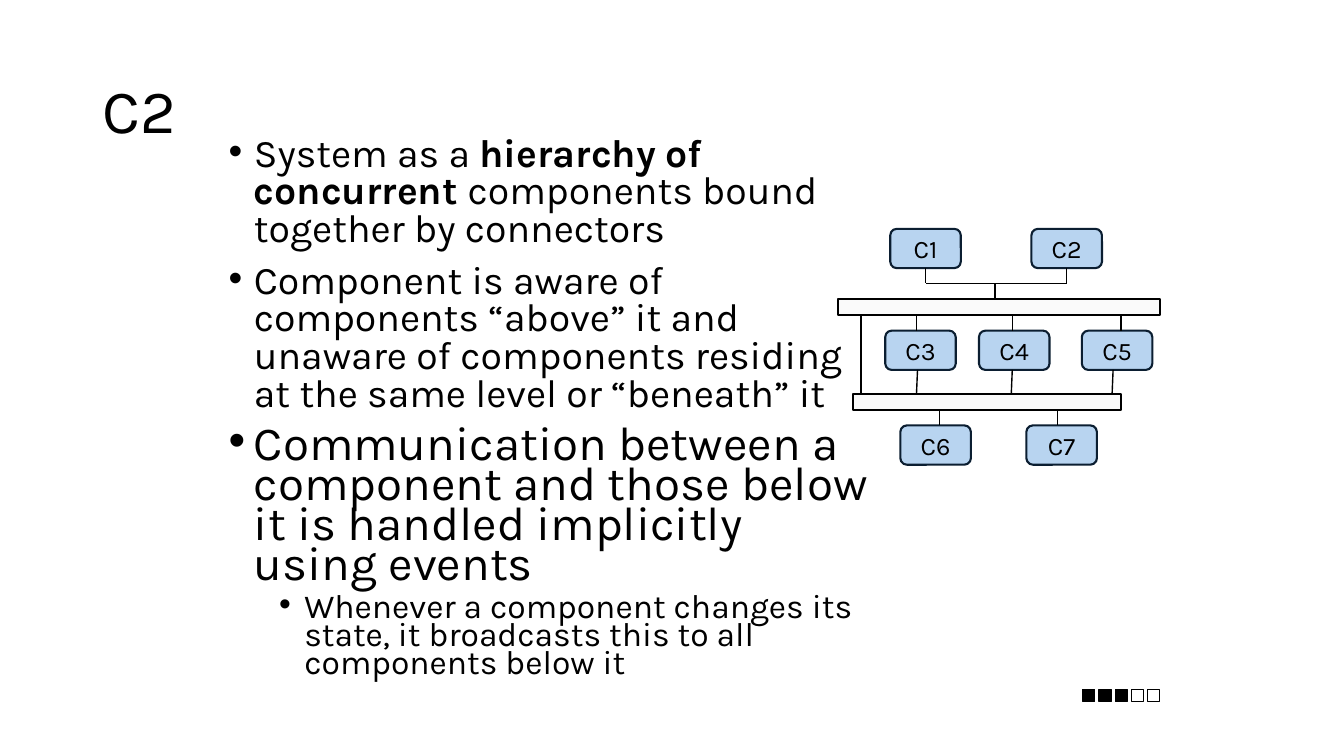
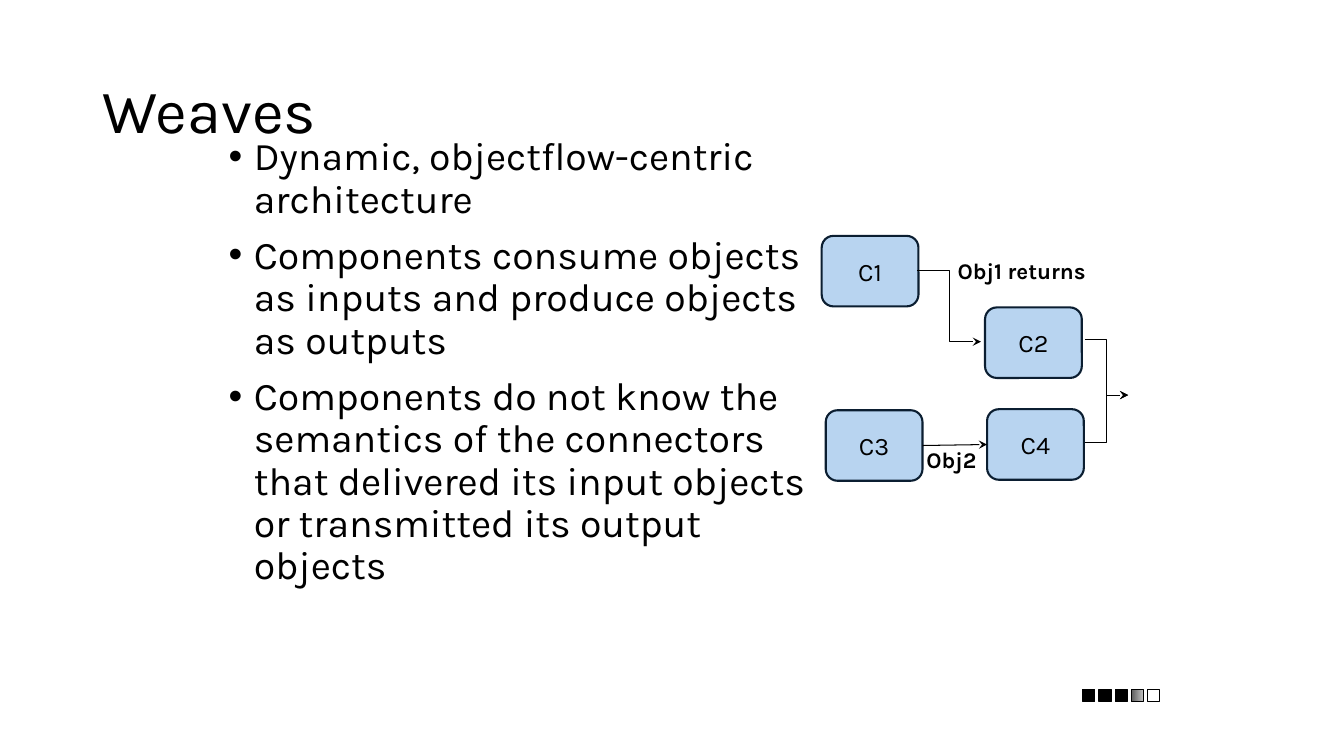
from dataclasses import dataclass
from lxml.etree import SubElement
from pptx import Presentation
from pptx.dml.color import RGBColor
from pptx.enum.shapes import MSO_CONNECTOR, MSO_SHAPE
from pptx.enum.text import MSO_ANCHOR, PP_ALIGN
from pptx.oxml.ns import qn
from pptx.util import Pt

PX = 9144  # EMU in one px, 100 px to the inch


@dataclass(frozen=True)
class Theme:
    font: str = "Karla"
    ink: RGBColor = RGBColor(0, 0, 0)
    box: RGBColor = RGBColor(0xB8, 0xD4, 0xF0)
    box_line: RGBColor = RGBColor(0x0B, 0x1E, 0x31)
    bar: RGBColor = RGBColor(0xFA, 0xFA, 0xFA)
    half: tuple = (RGBColor(0x59, 0x59, 0x59), RGBColor(0xC0, 0xC0, 0xC0))
    title: int = 44
    body: int = 28
    large: int = 34
    sub: int = 24
    node: int = 18
    label: int = 16


T = Theme()


def add_text(tf, runs, size=T.body, bold=False, align=None, anchor=MSO_ANCHOR.TOP,
             spacing=None, before=0, bullet=False, level=0):
    """Write one paragraph; runs is a string or a list of (text, bold)."""
    tf.word_wrap = True
    tf.vertical_anchor = anchor
    p = tf.add_paragraph() if tf.paragraphs[0].runs else tf.paragraphs[0]
    p.level = level
    p.line_spacing = spacing
    p.space_before = Pt(before)
    if align is not None:
        p.alignment = align
    if bullet:
        pPr = p._p.get_or_add_pPr()
        pPr.set("marL", str((25 + 50 * level) * PX))
        pPr.set("indent", str(-25 * PX))
        SubElement(pPr, qn("a:buFont")).set("typeface", "Arial")
        SubElement(pPr, qn("a:buChar")).set("char", "•")
    for text, strong in [(runs, bold)] if isinstance(runs, str) else runs:
        r = p.add_run()
        r.text = text
        r.font.name, r.font.size, r.font.bold = T.font, Pt(size), strong
        r.font.color.rgb = T.ink


def add_line(s, x1, y1, x2, y2, kind=MSO_CONNECTOR.STRAIGHT, width=1, arrow=False):
    c = s.shapes.add_connector(kind, x1 * PX, y1 * PX, x2 * PX, y2 * PX)
    c.line.color.rgb = T.ink
    c.line.width = Pt(width)
    spPr = c.element.spPr
    if arrow:
        SubElement(spPr.get_or_add_ln(), qn("a:tailEnd")).set("type", "stealth")
    SubElement(spPr, qn("a:effectLst"))
    return c


# Content: title, body box, bullets, node size, node corners, progress marks
c2_bullets = [
    ([("System as a ", False), ("hierarchy of concurrent ", True),
      ("components bound together by connectors", False)], dict(spacing=0.8)),
    ("Component is aware of components “above” it and unaware of components "
     "residing at the same level or “beneath” it", dict(spacing=0.8)),
    ("Communication between a component and those below it is handled "
     "implicitly using events", dict(spacing=0.7, size=T.large)),
    ("Whenever a component changes its state, it broadcasts this to all "
     "components below it", dict(spacing=0.7, size=T.sub, level=1, before=5)),
]
weaves_bullets = [(text, dict(spacing=0.9)) for text in (
    "Dynamic, objectflow-centric architecture",
    "Components consume objects as inputs and produce objects as outputs",
    "Components do not know the semantics of the connectors that delivered "
    "its input objects or transmitted its output objects",
)]
pages = [
    ("C2", (661, 572), c2_bullets, (70, 39),
     [(883, 227), (1023, 227), (878, 328), (971, 328), (1073, 328),
      (893, 422), (1018, 422)],
     ["full", "full", "full", "empty", "empty"]),
    ("Weaves", (606, 540), weaves_bullets, (96, 70),
     [(815, 234), (977, 305), (819, 407), (979, 406)],
     ["full", "full", "full", "half", "empty"]),
]

prs = Presentation()
prs.slide_width, prs.slide_height = 1333 * PX, 750 * PX
slides, nodes = [], []

# Shared parts of every slide
for title, (body_w, body_h), bullets, (node_w, node_h), corners, marks in pages:
    s = prs.slides.add_slide(prs.slide_layouts[6])
    slides.append(s)

    # Title and bullets
    tb = s.shapes.add_textbox(92 * PX, 40 * PX, 1150 * PX, 145 * PX)
    add_text(tb.text_frame, title, size=T.title, spacing=0.9, anchor=MSO_ANCHOR.MIDDLE)
    tb = s.shapes.add_textbox(217 * PX, 131 * PX, body_w * PX, body_h * PX)
    for runs, fmt in bullets:
        add_text(tb.text_frame, runs, **{"bullet": True, "before": 10, **fmt})

    # Components C1, C2, ...
    row = []
    for n, (x, y) in enumerate(corners, 1):
        sp = s.shapes.add_shape(MSO_SHAPE.ROUNDED_RECTANGLE,
                                x * PX, y * PX, node_w * PX, node_h * PX)
        sp.shadow.inherit = False
        sp.fill.solid()
        sp.fill.fore_color.rgb = T.box
        sp.line.color.rgb = T.box_line
        sp.line.width = Pt(1.5)
        add_text(sp.text_frame, f"C{n}", size=T.node, align=PP_ALIGN.CENTER,
                 anchor=MSO_ANCHOR.MIDDLE)
        row.append(sp)
    nodes.append(row)

    # Progress marks
    for i, mark in enumerate(marks):
        sp = s.shapes.add_shape(MSO_SHAPE.RECTANGLE,
                                (1074 + 16 * i) * PX, 684 * PX, 12 * PX, 12 * PX)
        sp.shadow.inherit = False
        sp.line.color.rgb = T.ink
        sp.line.width = Pt(0.75)
        if mark == "full":
            sp.fill.solid()
            sp.fill.fore_color.rgb = T.ink
        elif mark == "half":
            sp.fill.gradient()
            sp.fill.gradient_angle = 0
            for stop, colour in zip(sp.fill.gradient_stops, T.half):
                stop.color.rgb = colour
        else:
            sp.fill.background()

# C2: connector bars
s, row = slides[0], nodes[0]
for x, y, w in [(831, 297, 320), (846, 391, 266)]:
    sp = s.shapes.add_shape(MSO_SHAPE.RECTANGLE, x * PX, y * PX, w * PX, 16 * PX)
    sp.shadow.inherit = False
    sp.fill.solid()
    sp.fill.fore_color.rgb = T.bar
    sp.line.color.rgb = T.ink
    sp.line.width = Pt(1.5)

# C2: links between components and bars
for node, x in zip(row, (918, 1058)):
    add_line(s, x, 266, x, 281).begin_connect(node, 2)
for x1, y1, x2, y2 in [
    (1058, 281, 918, 281), (987, 281, 987, 297),
    (909, 313, 909, 328), (1004, 313, 1004, 328), (1112, 313, 1112, 328),
    (854, 313, 854, 391),
    (910, 367, 909, 391), (1004, 367, 1003, 391), (1104, 367, 1103, 391),
    (932, 407, 932, 422), (1049, 407, 1049, 422),
]:
    add_line(s, x1, y1, x2, y2)

# Weaves: object flows
s, row = slides[1], nodes[1]
flow = add_line(s, 915, 442, 979, 441, width=0.75, arrow=True)
flow.begin_connect(row[2], 3)
flow.end_connect(row[3], 1)
for ends in [(910, 268, 973, 339), (1076, 439, 1119, 392), (1076, 337, 1119, 392)]:
    add_line(s, *ends, kind=MSO_CONNECTOR.ELBOW, width=0.75, arrow=True)

# Weaves: flow labels
for text, x, y, w in [("Obj1 returns", 940, 250, 156), ("Obj2", 909, 438, 78)]:
    tb = s.shapes.add_textbox(x * PX, y * PX, w * PX, 37 * PX)
    add_text(tb.text_frame, text, size=T.label, bold=True)

prs.save("out.pptx")
